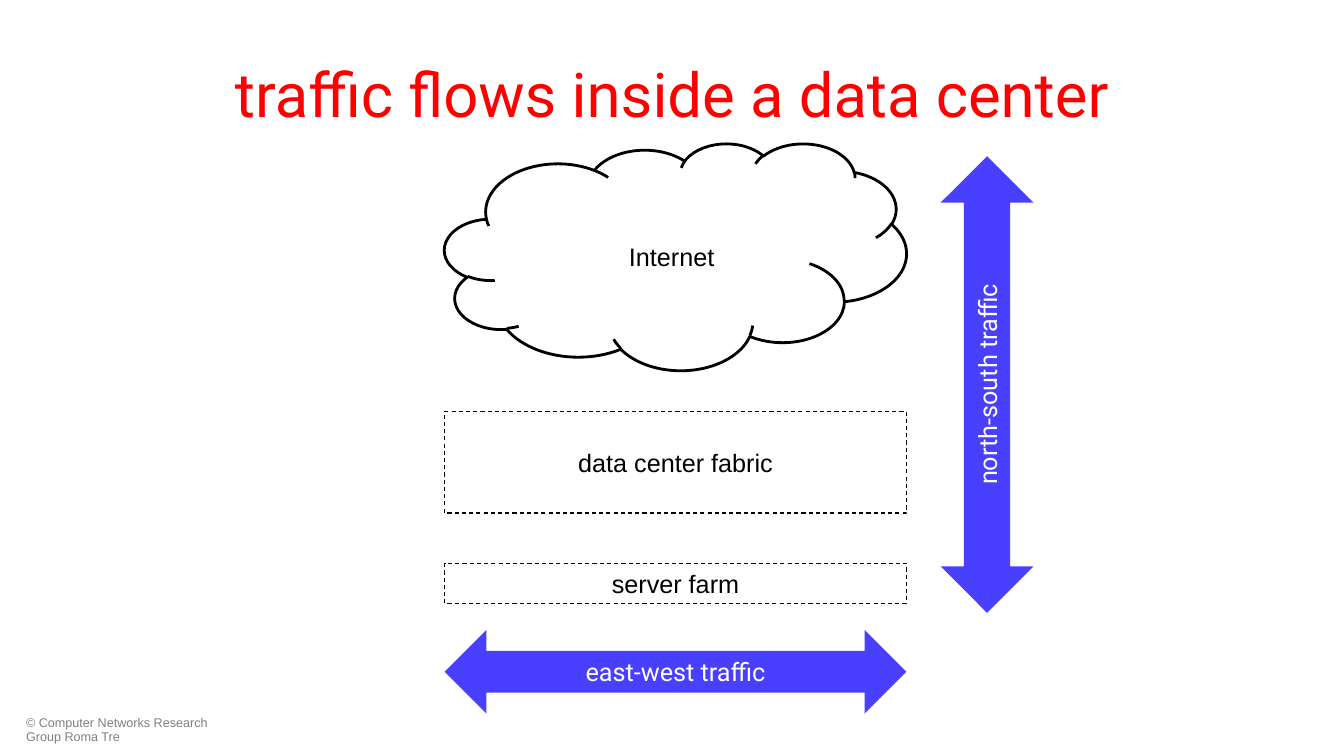
from pptx import Presentation
from pptx.dml.color import RGBColor
from pptx.enum.dml import MSO_LINE
from pptx.enum.shapes import MSO_SHAPE as Shape
from pptx.enum.text import MSO_ANCHOR as Anchor, PP_ALIGN as Align
from pptx.util import Pt

PX = 9144  # 100 px to the inch
BLACK = RGBColor(0, 0, 0)
WHITE = RGBColor(255, 255, 255)
RED = RGBColor(255, 0, 0)
GRAY = RGBColor(128, 128, 128)
BLUE = RGBColor(0x48, 0x3F, 0xFF)

LEFT, WIDTH = 441, 458  # column shared by cloud, boxes and lower arrow


class Sketch:
    def __init__(self, slide):
        self.shapes = slide.shapes
        self.sans = {"name": "Arial", "size": Pt(18)}
        self.label = {"name": "Roboto", "size": Pt(18)}

    def fill_text(self, shape, text, font, color, align=Align.CENTER,
                  anchor=Anchor.MIDDLE, wrap=True):
        frame = shape.text_frame
        frame.word_wrap = wrap
        frame.vertical_anchor = anchor
        para = frame.paragraphs[0]
        para.alignment = align
        run = para.add_run()
        run.text = text
        for key, value in font.items():
            setattr(run.font, key, value)
        run.font.color.rgb = color
        return para

    def text(self, box, text, font, color, **style):
        shape = self.shapes.add_textbox(*(n * PX for n in box))
        return self.fill_text(shape, text, font, color, **style)

    def shape(self, kind, box):
        shape = self.shapes.add_shape(kind, *(n * PX for n in box))
        shape.shadow.inherit = False
        return shape

    def outline(self, kind, box, width, dash=None):
        shape = self.shape(kind, box)
        shape.fill.background()
        shape.line.color.rgb = BLACK
        shape.line.width = Pt(width)
        shape.line.dash_style = dash
        return shape

    def layer(self, top, height, text):
        """Dashed box for one layer of the data center."""
        box = (LEFT, top, WIDTH, height)
        shape = self.outline(Shape.RECTANGLE, box, 0.75, MSO_LINE.DASH)
        self.fill_text(shape, text, self.sans, BLACK)

    def arrow(self, kind, box, text, turn=None):
        shape = self.shape(kind, box)
        shape.fill.solid()
        shape.fill.fore_color.rgb = BLUE
        shape.line.fill.background()
        self.fill_text(shape, text, self.label, WHITE)
        if turn:
            shape.text_frame._txBody.bodyPr.set("vert", turn)


def main():
    deck = Presentation()
    deck.slide_width, deck.slide_height = 1333 * PX, 750 * PX
    page = Sketch(deck.slides.add_slide(deck.slide_layouts[6]))

    credit = page.text((16, 706, 231, 36),
                       "© Computer Networks Research Group Roma Tre",
                       {"name": "Arial", "size": Pt(9)}, GRAY,
                       align=Align.LEFT, anchor=Anchor.TOP)
    credit.line_spacing = 0.9
    page.text((67, 30, 1200, 125), "traffic flows inside a data center",
              {"name": "Roboto", "size": Pt(44)}, RED)

    page.outline(Shape.CLOUD, (LEFT, 142, WIDTH, 225), 2)
    page.text((614, 234, 106, 40), "Internet", page.sans, BLACK,
              align=Align.LEFT, wrap=False)
    page.layer(408, 101, "data center fabric")
    page.layer(559, 40, "server farm")

    page.arrow(Shape.UP_DOWN_ARROW, (933, 155, 92, 453),
               "north-south traffic", "vert270")
    page.arrow(Shape.LEFT_RIGHT_ARROW, (LEFT, 625, WIDTH, 83),
               "east-west traffic")
    deck.save("out.pptx")


if __name__ == "__main__":
    main()
